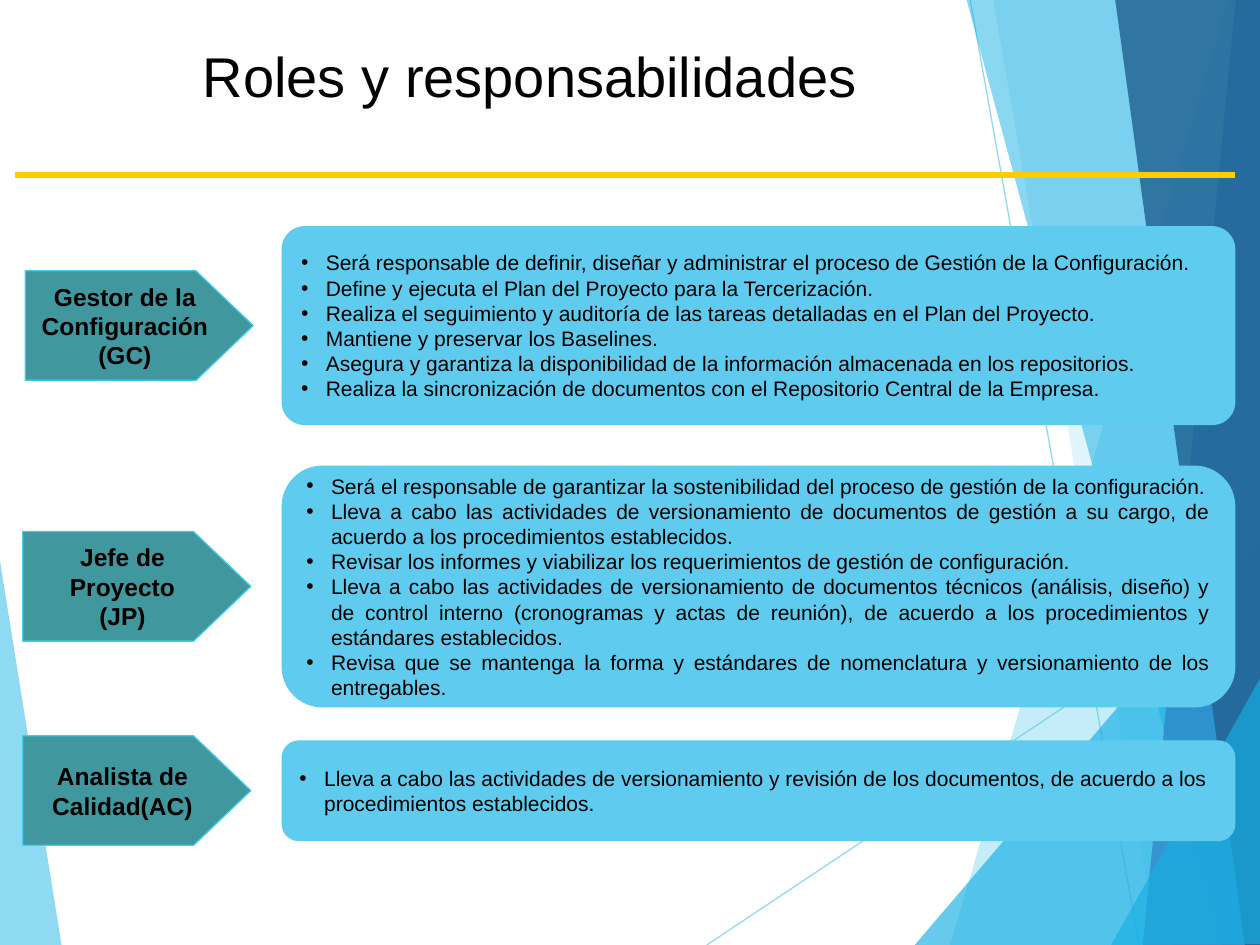
from lxml.etree import SubElement
from pptx import Presentation
from pptx.dml.color import RGBColor
from pptx.enum.shapes import MSO_CONNECTOR, MSO_SHAPE
from pptx.enum.text import MSO_ANCHOR, MSO_AUTO_SIZE, PP_ALIGN
from pptx.oxml.ns import qn
from pptx.util import Pt

FONT = "Arial"
COLORS = {
    "black": "000000", "sky": "5FCBEF", "cyan": "17B0E4", "blue": "2E83C3",
    "navy": "226292", "teal": "40979E", "aqua": "3FCDE7", "gold": "FFCC00",
}
LEFT_FACET = ("sky", 70, [(-0.7, 316), (35.3, 540.7), (-0.7, 540)])
RAYS = [((403.9, 540), (720.7, 329)), ((554.4, 0), (650.9, 540))]
RIGHT_FACETS = [
    ("sky", 36, [(702, 0), (542.9, 540), (721.4, 540.7), (720.7, 0.7)]),
    ("sky", 20, [(567.4, -0.7), (661.7, 540), (720.7, 540), (720.7, -0.7)]),
    ("cyan", 66, [(522.7, 540), (720, 308.9), (720.7, 540)]),
    ("cyan", 50, [(552.2, -0.7), (698.4, 540), (720.7, 539.3), (720.7, -0.7)]),
    ("blue", 70, [(706.3, -0.7), (653, 540), (720.7, 540), (720, -0.7)]),
    ("navy", 82, [(637.2, -0.7), (711.4, 540), (721.4, 540), (720, -0.7)]),
    ("cyan", 66, [(635, 540), (721.4, 385.2), (721.4, 539.3)]),
]
ROLES = [
    {
        "role": "Gestor de la Configuración (GC)",
        "tag": (14.4, 154.8), "card": (129.6, 113), "corner": 0.114,
        "align": PP_ALIGN.LEFT,
        "duties": [
            "Será responsable de definir, diseñar y administrar el proceso de Gestión de la Configuración.",
            "Define y ejecuta el Plan del Proyecto para la Tercerización.",
            "Realiza el seguimiento y auditoría de las tareas detalladas en el Plan del Proyecto.",
            "Mantiene y preservar los Baselines.",
            "Asegura y garantiza la disponibilidad de la información almacenada en los repositorios.",
            "Realiza la sincronización de documentos con el Repositorio Central de la Empresa.",
        ],
    },
    {
        "role": "Jefe de Proyecto\v(JP)",
        "tag": (13, 303.8), "card": (266.4, 137.5), "corner": 0.167,
        "align": PP_ALIGN.JUSTIFY,
        "duties": [
            "Será el responsable de garantizar la sostenibilidad del proceso de gestión de la configuración.",
            "Lleva a cabo las actividades de versionamiento de documentos de gestión a su cargo, "
            "de acuerdo a los procedimientos establecidos.",
            "Revisar los informes y viabilizar los requerimientos de gestión de configuración.",
            "Lleva a cabo las actividades de versionamiento de documentos técnicos (análisis, diseño) "
            "y de control interno (cronogramas y actas de reunión), de acuerdo a los procedimientos "
            "y estándares establecidos.",
            "Revisa que se mantenga la forma y estándares de nomenclatura y versionamiento de los entregables.",
        ],
    },
    {
        "role": "Analista de Calidad(AC)",
        "tag": (13, 420.5), "card": (423.4, 56.9), "corner": 0.167,
        "align": PP_ALIGN.LEFT,
        "duties": [
            "Lleva a cabo las actividades de versionamiento y revisión de los documentos, "
            "de acuerdo a los procedimientos establecidos.",
        ],
    },
]


def color(name):
    """Return a named colour."""
    return RGBColor.from_string(COLORS[name])


def set_alpha(element, percent):
    """Set the opacity of the first colour inside an element."""
    tint = next(element.iter(qn("a:srgbClr")))
    SubElement(tint, qn("a:alpha")).set("val", str(percent * 1000))


def add_facet(page, fill, alpha, points):
    """Draw one translucent polygon."""
    corners = [(Pt(x), Pt(y)) for x, y in points]
    builder = page.shapes.build_freeform(*corners[0], scale=1.0)
    builder.add_line_segments(corners[1:], close=True)
    facet = builder.convert_to_shape()
    facet.shadow.inherit = False
    facet.fill.solid()
    facet.fill.fore_color.rgb = color(fill)
    set_alpha(facet.element.spPr, alpha)
    facet.line.fill.background()


def add_line(page, start, end, name, width):
    """Draw a straight line without a shadow."""
    ends = [Pt(value) for value in (*start, *end)]
    line = page.shapes.add_connector(MSO_CONNECTOR.STRAIGHT, *ends)
    line.line.color.rgb = color(name)
    line.line.width = Pt(width)
    SubElement(line.element.spPr, qn("a:effectLst"))
    return line


def add_backdrop(page):
    """Draw the facets and rays behind the content."""
    add_facet(page, *LEFT_FACET)
    for start, end in RAYS:
        ray = add_line(page, start, end, "sky", 0.75)
        set_alpha(ray.element.spPr, 70)
    for facet in RIGHT_FACETS:
        add_facet(page, *facet)


def set_font(para, size, bold=False):
    """Apply the text font to a paragraph."""
    para.font.name = FONT
    para.font.size = Pt(size)
    para.font.bold = bold
    para.font.color.rgb = color("black")


def add_title(page, text):
    """Place the title above the backdrop."""
    title = page.shapes.title
    title.left, title.top, title.width, title.height = Pt(108.7), Pt(20.2), Pt(489.6), Pt(45.4)
    title.element.getparent().append(title.element)
    frame = title.text_frame
    frame.text = text
    frame.auto_size = MSO_AUTO_SIZE.NONE
    frame.vertical_anchor = MSO_ANCHOR.BOTTOM
    frame.paragraphs[0].alignment = PP_ALIGN.LEFT
    set_font(frame.paragraphs[0], 32)


def add_box(page, kind, frame, adjustment, fill, outline):
    """Add a filled preset shape ready for text."""
    box = page.shapes.add_shape(kind, *[Pt(value) for value in frame])
    box.adjustments[0] = adjustment
    box.shadow.inherit = False
    box.fill.solid()
    box.fill.fore_color.rgb = color(fill)
    box.line.color.rgb = color(outline)
    box.line.width = Pt(0.75)
    box.text_frame.word_wrap = True
    box.text_frame.vertical_anchor = MSO_ANCHOR.MIDDLE
    return box


def add_bullet(para):
    """Give a paragraph a hanging round bullet."""
    properties = para._p.get_or_add_pPr()
    properties.set("marL", str(Pt(14.1)))
    properties.set("indent", str(-Pt(14.1)))
    SubElement(properties, qn("a:buFont")).set("typeface", FONT)
    SubElement(properties, qn("a:buChar")).set("char", "•")


def add_tag(page, position, text):
    """Add the arrow that names a role."""
    box = add_box(page, MSO_SHAPE.PENTAGON, (*position, 130.3, 62.6), 0.523, "teal", "aqua")
    box.text_frame.text = text
    para = box.text_frame.paragraphs[0]
    para.alignment = PP_ALIGN.CENTER
    set_font(para, 14, bold=True)


def add_card(page, top, height, corner, duties, align):
    """Add the rounded card that lists the duties of a role."""
    frame = (161.3, top, 544.3, height)
    box = add_box(page, MSO_SHAPE.ROUNDED_RECTANGLE, frame, corner, "sky", "sky")
    box.text_frame.text = "\n".join(duties)
    for para in box.text_frame.paragraphs:
        para.alignment = align
        add_bullet(para)
        set_font(para, 12)


def main():
    """Build and save the slide."""
    deck = Presentation()
    deck.slide_width, deck.slide_height = Pt(720), Pt(540)
    page = deck.slides.add_slide(deck.slide_layouts[5])
    add_backdrop(page)
    add_title(page, "Roles y responsabilidades")
    add_line(page, (8.6, 100), (705.6, 100), "gold", 3)
    for role in ROLES:
        add_tag(page, role["tag"], role["role"])
        add_card(page, *role["card"], role["corner"], role["duties"], role["align"])
    deck.save("out.pptx")


main()
